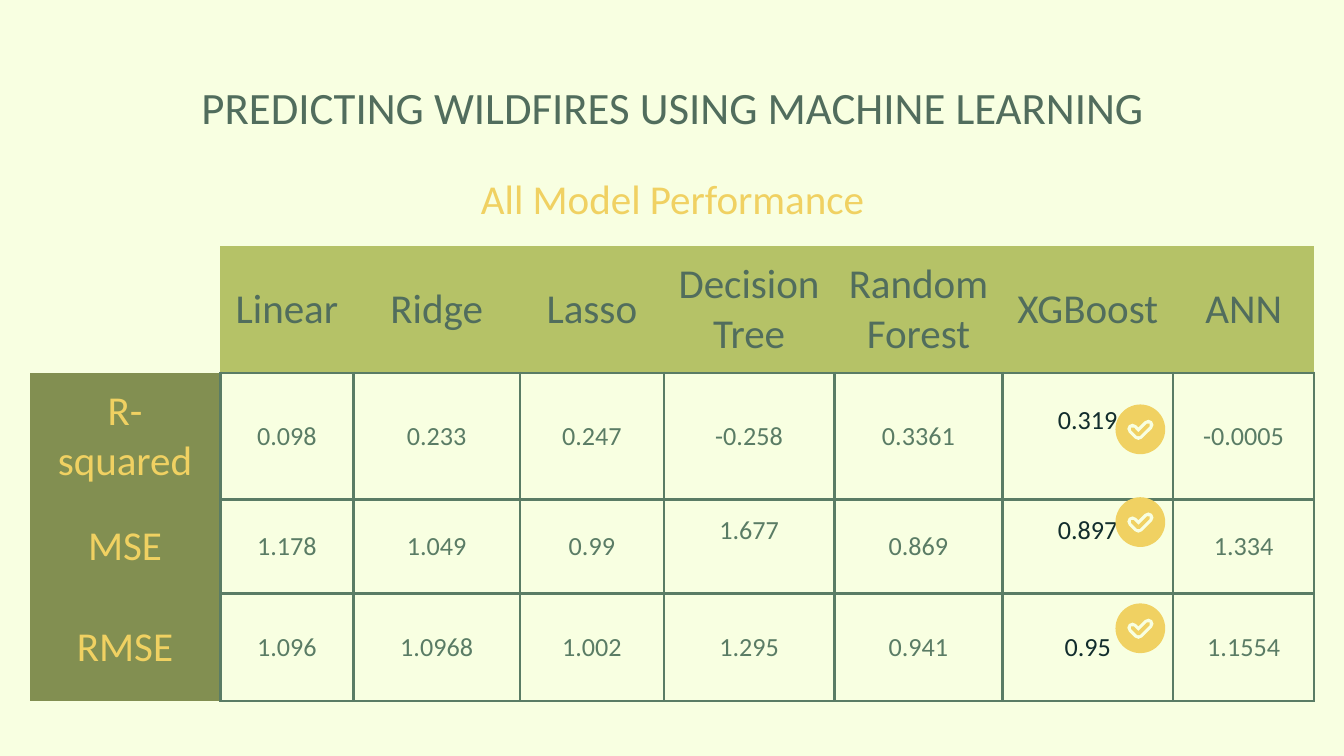
from lxml.etree import SubElement
from pptx import Presentation
from pptx.dml.color import RGBColor as RGB
from pptx.enum.shapes import MSO_SHAPE as SHAPE
from pptx.enum.text import MSO_ANCHOR as ANCHOR, PP_ALIGN as ALIGN
from pptx.oxml.ns import qn
from pptx.util import Inches, Pt

FONT = "Calibri"
COLORS = {
    "paper": "F8FFE1",
    "title": "516D5D",
    "gold": "F0D162",
    "header": "B5C267",
    "label": "828F51",
    "grid": "5A7C65",
    "best": "122D2D",
}
NO_GRID_STYLE = "{2D5ABB26-0587-4C30-8999-92F81FD0307C}"

MODELS = ["Linear", "Ridge", "Lasso", "Decision Tree", "Random Forest", "XGBoost", "ANN"]
METRICS = {
    "R-squared": ["0.098", "0.233", "0.247", "-0.258", "0.3361", "0.319", "-0.0005"],
    "MSE": ["1.178", "1.049", "0.99", "1.677", "0.869", "0.897", "1.334"],
    "RMSE": ["1.096", "1.0968", "1.002", "1.295", "0.941", "0.95", "1.1554"],
}
COL_WIDTHS = [1.42, 0.99, 1.24, 1.07, 1.27, 1.25, 1.27, 1.05]
ROW_HEIGHTS = [0.57, 0.58, 0.7, 0.8]
BEST_COL = 1 + MODELS.index("XGBoost")
RAISED_CELLS = {(1, 6), (2, 4), (2, 6)}

BADGE_LEFT, BADGE_SIZE = 8.3, 0.37
BADGE_TOPS = [3.01, 3.7, 4.49]
CHECK = [(0.34, 0.49), (0.46, 0.61), (0.66, 0.41)]


def color(name):
    return RGB.from_string(COLORS[name])


def write(tf, text, size, ink):
    p = tf.paragraphs[0]
    p.alignment = ALIGN.CENTER
    r = p.add_run()
    r.text = text
    r.font.name = FONT
    r.font.size = Pt(size)
    r.font.color.rgb = color(ink)


def add_heading(sp, top, height, text, size, ink):
    sp.left, sp.top = Inches(0.79), Inches(top)
    sp.width, sp.height = Inches(8.43), Inches(height)
    tf = sp.text_frame
    tf.word_wrap = True
    tf.vertical_anchor = ANCHOR.TOP
    tf.margin_left = tf.margin_right = tf.margin_top = tf.margin_bottom = Inches(0.1)
    write(tf, text, size, ink)


def set_borders(cell, sides):
    tcPr = cell._tc.get_or_add_tcPr()
    for side in sides:
        ln = SubElement(tcPr, qn(f"a:ln{side}"), w=str(Pt(1.5)))
        fill = SubElement(ln, qn("a:solidFill"))
        SubElement(fill, qn("a:srgbClr"), val=COLORS["grid"])


def fill_cell(cell, text, size, ink, sides, back=None, bottom=0.1):
    cell.vertical_anchor = ANCHOR.MIDDLE
    cell.margin_left = cell.margin_right = cell.margin_top = Inches(0.1)
    cell.margin_bottom = Inches(bottom)
    set_borders(cell, sides)
    if back:
        cell.fill.solid()
        cell.fill.fore_color.rgb = color(back)
    else:
        cell.fill.background()
    write(cell.text_frame, text, size, ink)


def add_results(s):
    frame = s.shapes.add_table(
        len(ROW_HEIGHTS), len(COL_WIDTHS), Inches(0.22), Inches(1.83),
        Inches(sum(COL_WIDTHS)), Inches(sum(ROW_HEIGHTS)))
    table = frame.table
    table.first_row = table.horz_banding = False
    table._tbl.tblPr.find(qn("a:tableStyleId")).text = NO_GRID_STYLE
    for column, width in zip(table.columns, COL_WIDTHS):
        column.width = Inches(width)
    for row, height in zip(table.rows, ROW_HEIGHTS):
        row.height = Inches(height)

    table.cell(0, 0).fill.background()
    for col, model in enumerate(MODELS, 1):
        fill_cell(table.cell(0, col), model, 22, "title", "B", "header")
    for row, (metric, values) in enumerate(METRICS.items(), 1):
        fill_cell(table.cell(row, 0), metric, 22, "gold", "R", "label")
        for col, value in enumerate(values, 1):
            ink = "best" if col == BEST_COL else "grid"
            bottom = 0.34 if (row, col) in RAISED_CELLS else 0.1
            fill_cell(table.cell(row, col), value, 14, ink, "LRTB", bottom=bottom)


def add_check(shapes, top, width, ink):
    points = [(Inches(BADGE_LEFT + x * BADGE_SIZE), Inches(top + y * BADGE_SIZE))
              for x, y in CHECK]
    builder = shapes.build_freeform(*points[0])
    builder.add_line_segments(points[1:], close=False)
    sp = builder.convert_to_shape()
    sp.shadow.inherit = False
    sp.fill.background()
    sp.line.color.rgb = color(ink)
    sp.line.width = Pt(width)
    ln = sp.line._get_or_add_ln()
    ln.set("cap", "rnd")
    SubElement(ln, qn("a:round"))


def add_badge(s, top):
    shapes = s.shapes.add_group_shape().shapes
    disc = shapes.add_shape(SHAPE.OVAL, Inches(BADGE_LEFT), Inches(top),
                            Inches(BADGE_SIZE), Inches(BADGE_SIZE))
    disc.shadow.inherit = False
    disc.fill.solid()
    disc.fill.fore_color.rgb = color("gold")
    disc.line.fill.background()
    add_check(shapes, top, 5.5, "paper")
    add_check(shapes, top, 2, "gold")


def main():
    prs = Presentation()
    prs.slide_width, prs.slide_height = Inches(10), Inches(10 * 9 / 16)
    s = prs.slides.add_slide(prs.slide_layouts[5])
    s.background.fill.solid()
    s.background.fill.fore_color.rgb = color("paper")

    add_heading(s.shapes.title, 0.49, 0.63,
                "PREDICTING WILDFIRES USING MACHINE LEARNING", 24, "title")
    add_results(s)
    for top in BADGE_TOPS:
        add_badge(s, top)
    add_heading(s.shapes.add_textbox(0, 0, 0, 0), 1.19, 0.41,
                "All Model Performance", 22, "gold")
    prs.save("out.pptx")


if __name__ == "__main__":
    main()
